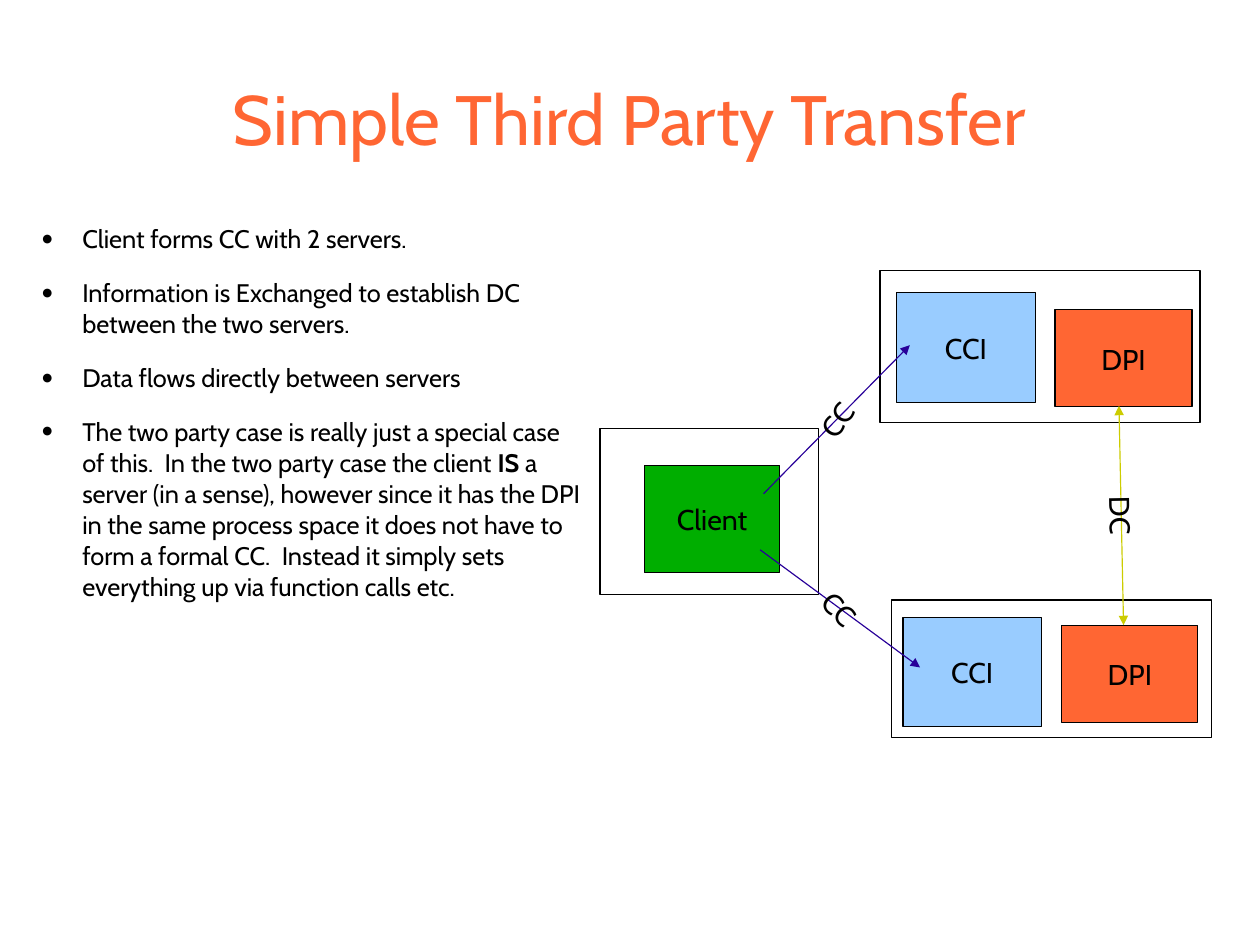
from dataclasses import dataclass
from lxml import etree
from pptx import Presentation
from pptx import util as u
from pptx.dml.color import RGBColor
from pptx.enum import shapes, text
from pptx.oxml import ns

# Content: positions are columns and rows of a grid with 0.1 inch cells
TITLE = ("Simple Third Party Transfer", (5.5, 3.3, 99.2, 13.8))
BODY_AREA = (2.5, 19.5, 48.4, 54.6)
BULLETS = [
    [("Client forms CC with 2 servers.", False)],
    [("Information is Exchanged to establish DC between the two servers.", False)],
    [("Data flows directly between servers", False)],
    [("The two party case is really just a special case of this.  "
      "In the two party case the client ", False),
     ("IS", True),
     (" a server (in a sense), however since it has the DPI in the same process "
      "space it does not have to form a formal CC.  Instead it simply sets "
      "everything up via function calls etc.", False)],
]
HOSTS = [(77, 23.7, 28, 13.3), (52.5, 37.5, 19.1, 14.5), (78, 52.5, 28, 12)]
PROCESSES = [
    ("CCI", "control", (78.4, 25.6, 12.2, 9.6)),
    ("Client", "client", (56.4, 40.7, 11.8, 9.4)),
    ("DPI", "data", (92.3, 27.1, 12, 8.5)),
    ("CCI", "control", (79, 54, 12.1, 9.6)),
    ("DPI", "data", (92.9, 54.7, 11.9, 8.5)),
]
# Label, colour, start, end, label length, label rotation, arrowheads
CHANNELS = [
    ("CC", "control_line", (66.8, 43.2), (79.6, 30.2), 15.9, 305, ["tailEnd"]),
    ("DC", "data_line", (97.9, 35.5), (98.3, 54.7), 19.2, 89, ["headEnd", "tailEnd"]),
    ("CC", "control_line", (66.5, 48.1), (80.5, 58.4), 14.3, 46, ["tailEnd"]),
]
LABEL_HEIGHT = 4


@dataclass(frozen=True)
class Theme:
    font: str = "Cabin"
    ink: str = "000000"
    title: str = "FF6633"
    control: str = "99CCFF"
    data: str = "FF6633"
    client: str = "00AE00"
    control_line: str = "280099"
    data_line: str = "CCCC00"
    title_size: float = 44
    label_size: float = 18
    body_size: float = 16
    line_width: float = 0.75
    line_spacing: float = 1.02


THEME = Theme()
SLIDE_SIZE = (u.Cm(28), u.Cm(21))
CELL = u.Inches(0.1)
INSETS = (1, 0.5, 1, 0.5)


def grid(*cells):
    return [round(cell * CELL) for cell in cells]


def colour(name):
    return RGBColor.from_string(getattr(THEME, name))


def apply(target, **values):
    for name, value in values.items():
        setattr(target, name, value)


def write(shape, paragraphs, size, ink="ink", insets=INSETS, wrap=True,
          anchor=text.MSO_ANCHOR.MIDDLE, align=text.PP_ALIGN.CENTER, after=0):
    frame = shape.text_frame
    left, top, right, bottom = grid(*insets)
    apply(frame, margin_left=left, margin_top=top, margin_right=right,
          margin_bottom=bottom, word_wrap=wrap, vertical_anchor=anchor)
    for index, runs in enumerate(paragraphs):
        paragraph = frame.add_paragraph() if index else frame.paragraphs[0]
        apply(paragraph, alignment=align, line_spacing=THEME.line_spacing,
              space_after=u.Pt(after))
        for words, bold in runs:
            run = paragraph.add_run()
            run.text = words
            apply(run.font, name=THEME.font, size=u.Pt(size), bold=bold)
            run.font.color.rgb = colour(ink)
    return frame


def add_bullet(paragraph):
    properties = paragraph._p.get_or_add_pPr()
    first, indent = grid(4.7, -3.5)
    properties.set("marL", str(first))
    properties.set("indent", str(indent))
    bullet_colour = etree.SubElement(properties, ns.qn("a:buClr"))
    etree.SubElement(bullet_colour, ns.qn("a:srgbClr"), val=THEME.ink)
    etree.SubElement(properties, ns.qn("a:buSzPct"), val="45000")
    etree.SubElement(properties, ns.qn("a:buFont"), typeface=THEME.font)
    etree.SubElement(properties, ns.qn("a:buChar"), char="●")


def add_box(slide, area, fill=None):
    shape = slide.shapes.add_shape(shapes.MSO_SHAPE.RECTANGLE, *grid(*area))
    shape.shadow.inherit = False
    if fill:
        shape.fill.solid()
        shape.fill.fore_color.rgb = colour(fill)
    else:
        shape.fill.background()
    shape.line.color.rgb = colour("ink")
    shape.line.width = u.Pt(THEME.line_width)
    return shape


def add_channel(slide, label, ink, start, end, length, rotation, heads):
    connector = slide.shapes.add_connector(
        shapes.MSO_CONNECTOR.STRAIGHT, *grid(*start, *end))
    connector.line.color.rgb = colour(ink)
    connector.line.width = u.Pt(THEME.line_width)
    line = connector.line._get_or_add_ln()
    for head in heads:
        etree.SubElement(line, ns.qn("a:" + head), type="triangle")
    etree.SubElement(connector._element.spPr, ns.qn("a:effectLst"))
    # The label is centred on the middle of its line
    middle_x, middle_y = ((a + b) / 2 for a, b in zip(start, end))
    box = slide.shapes.add_textbox(*grid(
        middle_x - length / 2, middle_y - LABEL_HEIGHT / 2, length, LABEL_HEIGHT))
    box.rotation = rotation
    write(box, [[(label, False)]], THEME.label_size)


def main():
    presentation = Presentation()
    presentation.slide_width, presentation.slide_height = SLIDE_SIZE
    slide = presentation.slides.add_slide(presentation.slide_layouts[6])

    # Title and bullets
    words, area = TITLE
    write(slide.shapes.add_textbox(*grid(*area)), [[(words, False)]],
          THEME.title_size, ink="title", insets=(0, 0, 0, 0))
    body = write(slide.shapes.add_textbox(*grid(*BODY_AREA)), BULLETS,
                 THEME.body_size, insets=(0, 0, 0, 0), after=14.3,
                 anchor=text.MSO_ANCHOR.TOP, align=text.PP_ALIGN.LEFT)
    for paragraph in body.paragraphs:
        add_bullet(paragraph)

    # Hosts and the processes they run
    for area in HOSTS:
        add_box(slide, area)
    for name, fill, area in PROCESSES:
        write(add_box(slide, area, fill), [[(name, False)]],
              THEME.label_size, wrap=False)

    # Channels between processes
    for channel in CHANNELS:
        add_channel(slide, *channel)

    presentation.save("out.pptx")


if __name__ == "__main__":
    main()
